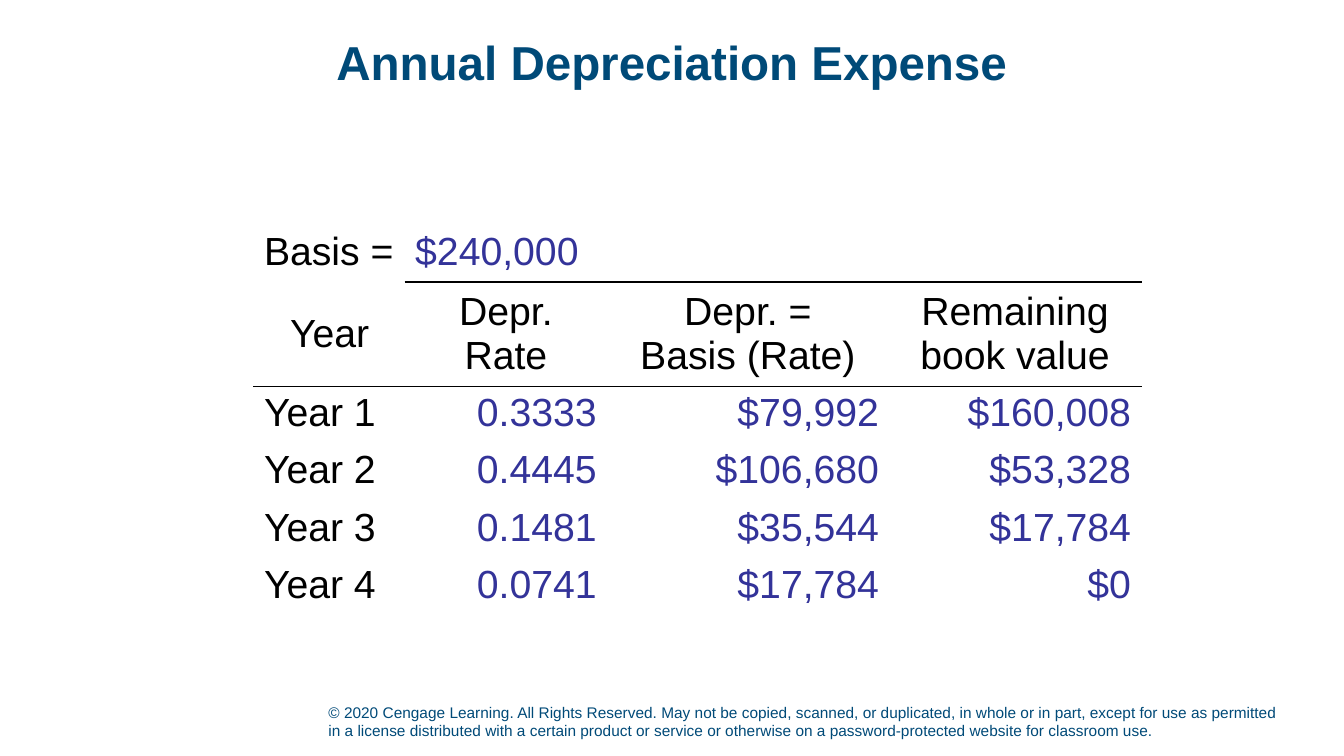
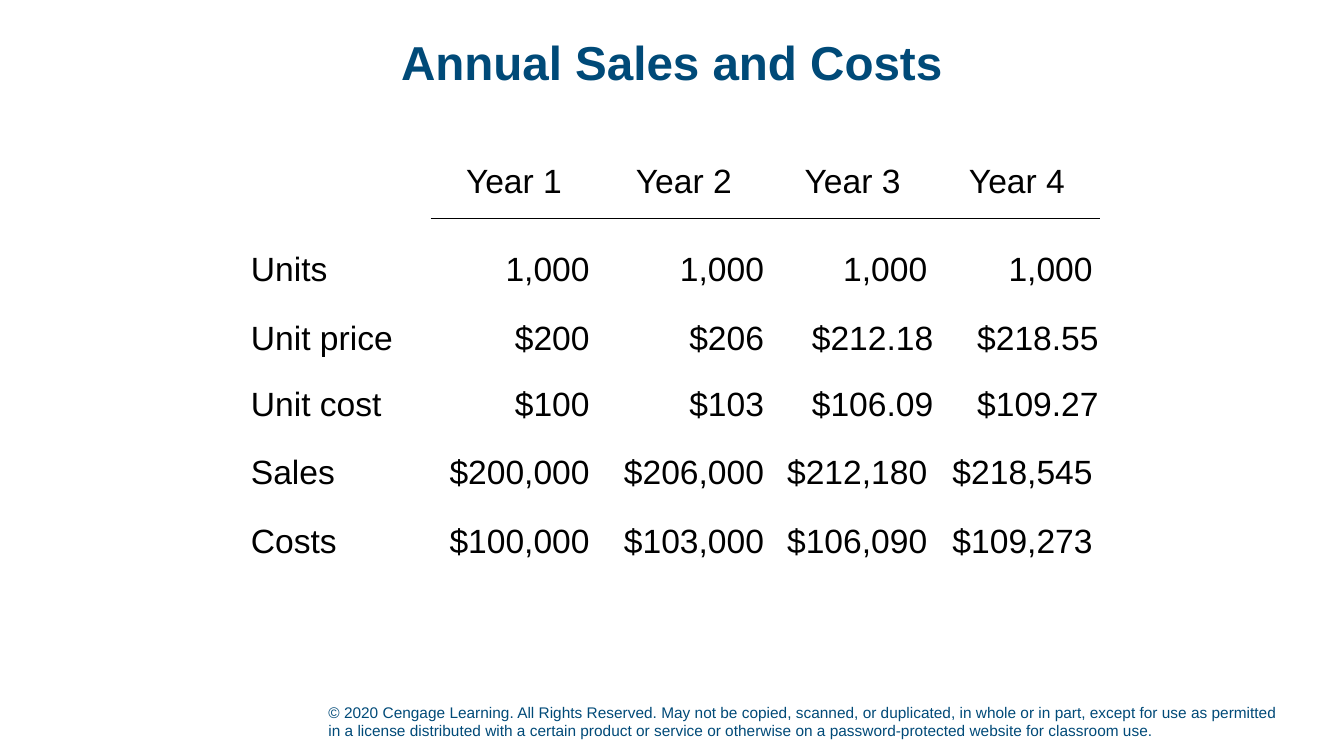
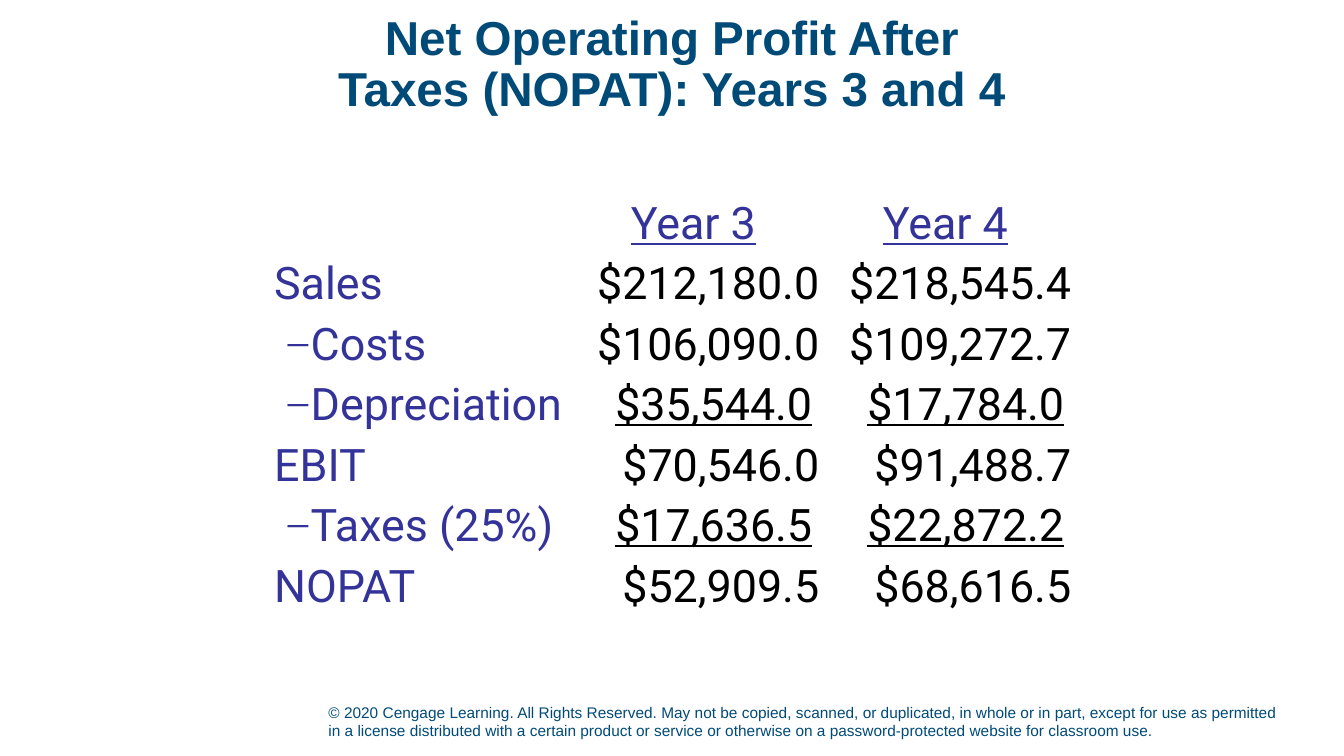
import dataclasses

import pptx
import pptx.dml.color
import pptx.enum.text
import pptx.oxml
import pptx.oxml.ns
import pptx.util

Pt = pptx.util.Pt
ALIGN = pptx.enum.text.PP_ALIGN
ANCHOR = pptx.enum.text.MSO_ANCHOR


@dataclasses.dataclass(frozen=True)
class Theme:
    font: str = "Arial"
    profit_font: str = "Roboto"
    minus_font: str = "Times New Roman"
    navy: str = "004A78"
    violet: str = "333399"
    black: str = "000000"
    title_size: int = 34
    depreciation_size: int = 28
    sales_size: int = 24
    profit_size: int = 32
    footer_size: int = 11


THEME = Theme()
MINUS = " −"

# Cell insets in points: left, top, right, bottom
ROOMY = (7.2, 3.6, 7.2, 3.6)
SIDES = (5.04, 0, 5.04, 0)
HAIR = (0.72, 0.72, 0.72, 0)
FLUSH = (0, 0, 0, 0)

COPYRIGHT = (
    "© 2020 Cengage Learning. All Rights Reserved. May not be copied, scanned, or "
    "duplicated, in whole or in part, except for use as permitted in a license "
    "distributed with a certain product or service or otherwise on a "
    "password-protected website for classroom use."
)

DEPRECIATION = [
    ("Basis =", "$240,000", "", ""),
    ("Year", "Depr.\nRate", "Depr. =\nBasis (Rate)", "Remaining\nbook value"),
    ("Year 1", "0.3333", "$79,992", "$160,008"),
    ("Year 2", "0.4445", "$106,680", "$53,328"),
    ("Year 3", "0.1481", "$35,544", "$17,784"),
    ("Year 4", "0.0741", "$17,784", "$0"),
]

SALES_AND_COSTS = [
    ("", "Year 1", "Year 2", "Year 3", "Year 4"),
    ("Units", "1,000", "1,000", "1,000", "1,000"),
    ("Unit price", "$200", "$206", "$212.18", "$218.55"),
    ("Unit cost", "$100", "$103", "$106.09", "$109.27"),
    ("Sales", "$200,000", "$206,000", "$212,180", "$218,545"),
    ("Costs", "$100,000", "$103,000", "$106,090", "$109,273"),
]

PROFIT = [
    ("", "Year 3", "Year 4"),
    ("Sales", "$212,180.0", "$218,545.4"),
    (MINUS + "Costs", "$106,090.0", "$109,272.7"),
    (MINUS + "Depreciation", "$35,544.0", "$17,784.0"),
    ("EBIT", "$70,546.0", "$91,488.7"),
    (MINUS + "Taxes (25%)", "$17,636.5", "$22,872.2"),
    ("NOPAT", "$52,909.5", "$68,616.5"),
]
SUBTRACTED_LAST = (3, 5)


@dataclasses.dataclass(frozen=True)
class CellStyle:
    size: int
    font: str = THEME.font
    color: str = THEME.black
    align: ALIGN = ALIGN.LEFT
    anchor: ANCHOR = ANCHOR.TOP
    insets: tuple = ROOMY
    underline: bool = False


def depreciation_style(row, column, text):
    style = CellStyle(THEME.depreciation_size)
    if row == 1:
        return dataclasses.replace(style, align=ALIGN.CENTER, anchor=ANCHOR.MIDDLE)
    if column == 0:
        return style
    align = ALIGN.LEFT if row == 0 else ALIGN.RIGHT
    return dataclasses.replace(style, color=THEME.violet, align=align)


def sales_style(row, column, text):
    style = CellStyle(THEME.sales_size, anchor=ANCHOR.BOTTOM, insets=SIDES)
    if row == 0:
        return dataclasses.replace(style, align=ALIGN.CENTER, anchor=ANCHOR.MIDDLE)
    if column == 0:
        return style
    has_cents = "." in text
    return dataclasses.replace(style, align=ALIGN.RIGHT, insets=HAIR if has_cents else SIDES)


def profit_style(row, column, text):
    style = CellStyle(THEME.profit_size, THEME.profit_font, THEME.violet,
                      anchor=ANCHOR.BOTTOM, insets=HAIR)
    if row == 0:
        return dataclasses.replace(style, align=ALIGN.CENTER, underline=True)
    if column == 0:
        return style
    summed = row in SUBTRACTED_LAST
    return dataclasses.replace(style, color=THEME.black, align=ALIGN.RIGHT,
                               insets=SIDES if summed else FLUSH, underline=summed)


# "rules" maps a row to the first column of the line drawn under it
SLIDES = [
    dict(title="Annual Depreciation Expense", rows=DEPRECIATION, style=depreciation_style,
         left=181.4, top=160.6, widths=(108, 144, 201.6, 180),
         heights=(39.6, 69.8) + (38.4,) * 4, rules={0: 1, 1: 0}),
    dict(title="Annual Sales and Costs", rows=SALES_AND_COSTS, style=sales_style,
         left=174.2, top=103.7, widths=(133.9, 118.1, 124.6, 116.6, 118.1),
         heights=(52.6, 49.7, 49.7, 46.8, 49, 49), rules={0: 1}),
    dict(title="Net Operating Profit After\nTaxes (NOPAT): Years 3 and 4", rows=PROFIT,
         style=profit_style, left=195.1, top=135.4, widths=(210.2, 180, 180),
         heights=(43.2,) * len(PROFIT), rules={}),
]


def set_font(font, name, size, color):
    font.name = name
    font.size = Pt(size)
    font.color.rgb = pptx.dml.color.RGBColor.from_string(color)


def add_text(slide, text, box, size, anchor):
    frame = slide.shapes.add_textbox(*map(Pt, box)).text_frame
    frame.word_wrap = True
    frame.vertical_anchor = anchor
    paragraph = frame.paragraphs[0]
    paragraph.text = text
    set_font(paragraph.font, THEME.font, size, THEME.navy)
    return paragraph


def add_title_and_footer(slide, title):
    add_text(slide, COPYRIGHT, (227.5, 496, 693.4, 36), THEME.footer_size, ANCHOR.BOTTOM)
    heading = add_text(slide, title, (66, 10.8, 828, 72), THEME.title_size, ANCHOR.MIDDLE)
    heading.alignment = ALIGN.CENTER
    heading.line_spacing = 0.9
    heading.font.bold = True


def draw_rule(cell, edge):
    """Draw a black line on one edge ("lnT" or "lnB") of a cell."""
    line = pptx.oxml.parse_xml(
        f'<a:{edge} {pptx.oxml.ns.nsdecls("a")} w="12700"><a:solidFill>'
        f'<a:srgbClr val="{THEME.black}"/></a:solidFill></a:{edge}>')
    cell._tc.get_or_add_tcPr().insert(0, line)


def fill_cell(cell, text, style):
    cell.fill.background()
    cell.vertical_anchor = style.anchor
    cell.margin_left, cell.margin_top, cell.margin_right, cell.margin_bottom = map(
        Pt, style.insets)
    paragraph = cell.text_frame.paragraphs[0]
    paragraph.alignment = style.align
    if text.startswith(MINUS):
        minus, item = paragraph.add_run(), paragraph.add_run()
        minus.text, item.text = MINUS, text[len(MINUS):]
        minus.font.name = THEME.minus_font
    else:
        paragraph.text = text
    set_font(paragraph.font, style.font, style.size, style.color)
    if style.underline:
        paragraph.font.underline = True


def add_figures(slide, rows, style, left, top, widths, heights, rules):
    table = slide.shapes.add_table(
        len(rows), len(widths), *map(Pt, (left, top, sum(widths), sum(heights)))).table
    table.first_row = table.horz_banding = False
    for column, width in zip(table.columns, widths):
        column.width = Pt(width)
    for table_row, height in zip(table.rows, heights):
        table_row.height = Pt(height)
    for r, values in enumerate(rows):
        for c, text in enumerate(values):
            cell = table.cell(r, c)
            fill_cell(cell, text, style(r, c, text))
            for edge, ruled_row in (("lnB", r), ("lnT", r - 1)):
                if c >= rules.get(ruled_row, len(widths)):
                    draw_rule(cell, edge)


def main():
    deck = pptx.Presentation()
    deck.slide_width, deck.slide_height = Pt(960), Pt(540)
    for content in SLIDES:
        slide = deck.slides.add_slide(deck.slide_layouts[6])
        figures = dict(content)
        add_title_and_footer(slide, figures.pop("title"))
        add_figures(slide, **figures)
    deck.save("out.pptx")


if __name__ == "__main__":
    main()
